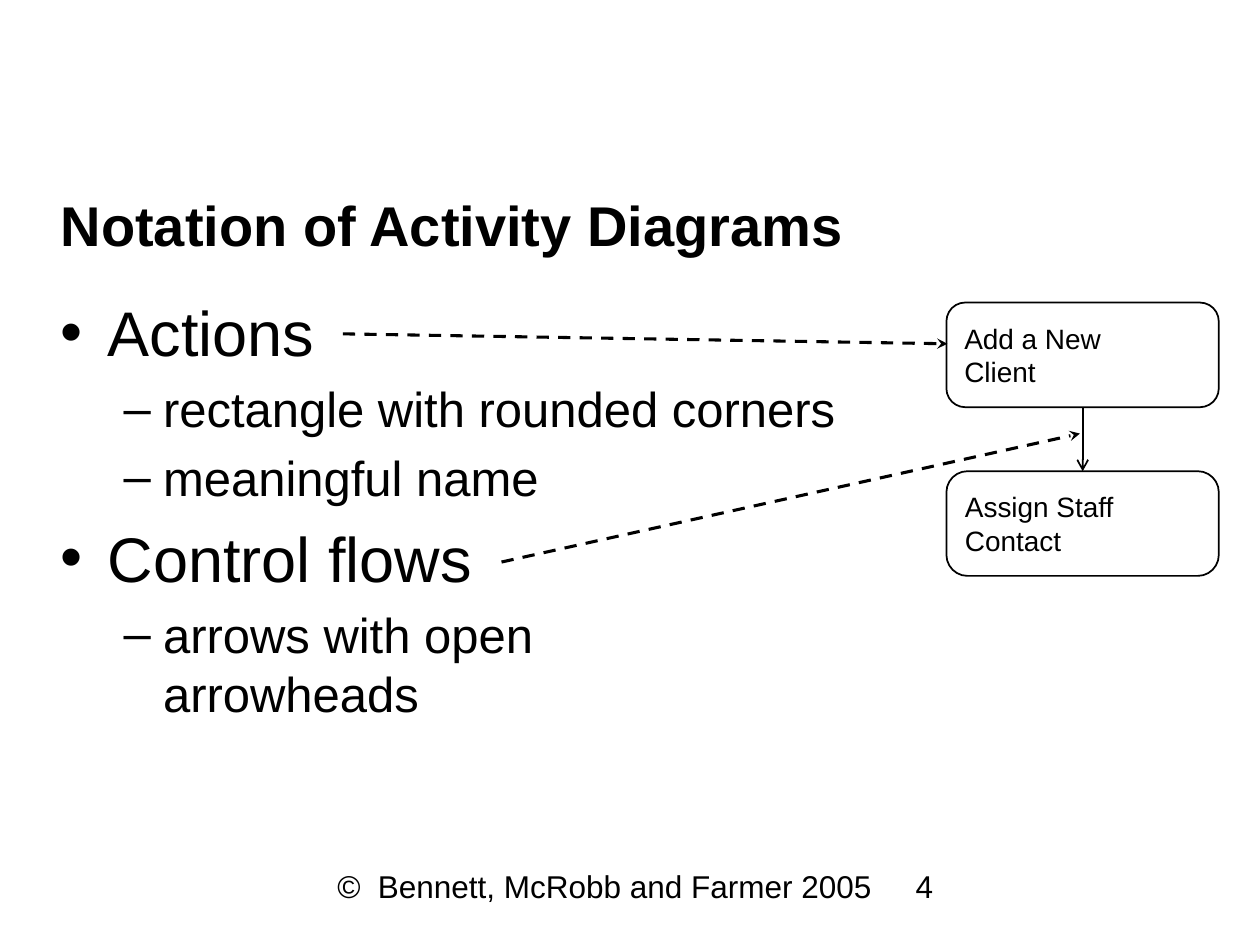
import collections
import pptx
import pptx.util
import pptx.dml.color
import pptx.enum.dml
import pptx.enum.shapes
import pptx.enum.text
import pptx.oxml.ns
import lxml.etree

Cm = pptx.util.Cm
Box = collections.namedtuple("Box", "left top width height")
COLORS = {"ink": "000000", "paper": "FFFFFF"}
FONT_NAME = "Arial"


def color(name):
    return pptx.dml.color.RGBColor.from_string(COLORS[name])


def set_attributes(target, values):
    for name, value in values.items():
        setattr(target, name, value)


def place(shape, box):
    set_attributes(shape, {name: Cm(value) for name, value in box._asdict().items()})


def format_paragraph(paragraph, size, bold=False):
    paragraph.alignment = pptx.enum.text.PP_ALIGN.LEFT
    set_attributes(paragraph.font, {"name": FONT_NAME, "size": pptx.util.Pt(size), "bold": bold})
    paragraph.font.color.rgb = color("ink")


def add_arrow(slide, start, end, width, head, dash=None):
    connector = slide.shapes.add_connector(
        pptx.enum.shapes.MSO_CONNECTOR.STRAIGHT, *map(Cm, start + end))
    connector.line.color.rgb = color("ink")
    set_attributes(connector.line, {"width": pptx.util.Pt(width), "dash_style": dash})
    qn = pptx.oxml.ns.qn
    line_element = connector.line._get_or_add_ln()
    lxml.etree.SubElement(line_element, qn("a:tailEnd"), type=head)
    lxml.etree.SubElement(connector._element.spPr, qn("a:effectLst"))


def add_title(slide, box, text):
    title = slide.shapes.title
    place(title, box)
    frame = title.text_frame
    frame.text = text
    set_attributes(frame, {
        "vertical_anchor": pptx.enum.text.MSO_ANCHOR.MIDDLE,
        "auto_size": pptx.enum.text.MSO_AUTO_SIZE.NONE,
    })
    format_paragraph(frame.paragraphs[0], 32, bold=True)


def add_notation_list(slide, box, items):
    body = slide.placeholders[1]
    place(body, box)
    frame = body.text_frame
    frame.text = "\n".join(text for level, text in items)
    frame.auto_size = pptx.enum.text.MSO_AUTO_SIZE.NONE
    for paragraph, (level, text) in zip(frame.paragraphs, items):
        paragraph.level = level
        format_paragraph(paragraph, (36, 28)[level])


def add_action(slide, box, text, rounding):
    action = slide.shapes.add_shape(
        pptx.enum.shapes.MSO_SHAPE.ROUNDED_RECTANGLE, *map(Cm, box))
    action.adjustments[0] = rounding
    action.shadow.inherit = False
    action.fill.solid()
    action.fill.fore_color.rgb = color("paper")
    action.line.color.rgb = color("ink")
    action.line.width = pptx.util.Pt(1)
    frame = action.text_frame
    frame.text = text
    set_attributes(frame, {
        "word_wrap": False,
        "vertical_anchor": pptx.enum.text.MSO_ANCHOR.MIDDLE,
    })
    format_paragraph(frame.paragraphs[0], 16)


def add_activity_diagram(slide, box, actions):
    action_height = 2.11
    pitch = (box.height - action_height) / (len(actions) - 1)
    center = box.left + box.width / 2
    for index, (text, rounding) in enumerate(actions):
        top = box.top + index * pitch
        add_action(slide, Box(box.left, top, box.width, action_height), text, rounding)
        if index:
            add_arrow(slide, (center, top - pitch + action_height), (center, top), 1, "arrow")


def add_pointers(slide, list_box, diagram_box):
    pointers = [
        ((5.94, 0.94), (0.02, 0.83)),
        ((9.14, 5.54), (2.69, 2.64)),
    ]
    for start, end in pointers:
        add_arrow(
            slide,
            (list_box.left + start[0], list_box.top + start[1]),
            (diagram_box.left + end[0], diagram_box.top + end[1]),
            1.75, "stealth", pptx.enum.dml.MSO_LINE.DASH)


def add_footer(slide, box, credit, number):
    number_offset = 11.66
    parts = [(credit, 0, 12.27), (number, number_offset, box.width - number_offset)]
    for text, offset, width in parts:
        text_box = slide.shapes.add_textbox(
            *map(Cm, (box.left + offset, box.top, width, box.height)))
        frame = text_box.text_frame
        frame.word_wrap = True
        frame.text = text
        format_paragraph(frame.paragraphs[0], 18)


def build_notation_slide(presentation):
    slide = presentation.slides.add_slide(presentation.slide_layouts[1])
    list_box = Box(0.97, 5.79, 23.47, 11.73)
    diagram_box = Box(19.08, 6.1, 5.49, 5.51)
    add_footer(slide, Box(6.55, 17.35, 16.94, 1.27),
               "©\u00a0 Bennett, McRobb and Farmer 2005", "4")
    add_title(slide, Box(0.97, 3.56, 23.47, 1.93), "Notation of Activity Diagrams")
    add_notation_list(slide, list_box, [
        (0, "Actions"),
        (1, "rectangle with rounded corners"),
        (1, "meaningful name"),
        (0, "Control flows"),
        (1, "arrows with open\varrowheads"),
    ])
    add_activity_diagram(slide, diagram_box, [
        ("Add a New\vClient", 0.18),
        ("Assign Staff\vContact", 0.2),
    ])
    add_pointers(slide, list_box, diagram_box)


presentation = pptx.Presentation()
set_attributes(presentation, {"slide_width": Cm(25.4), "slide_height": Cm(19.05)})
build_notation_slide(presentation)
presentation.save("out.pptx")
